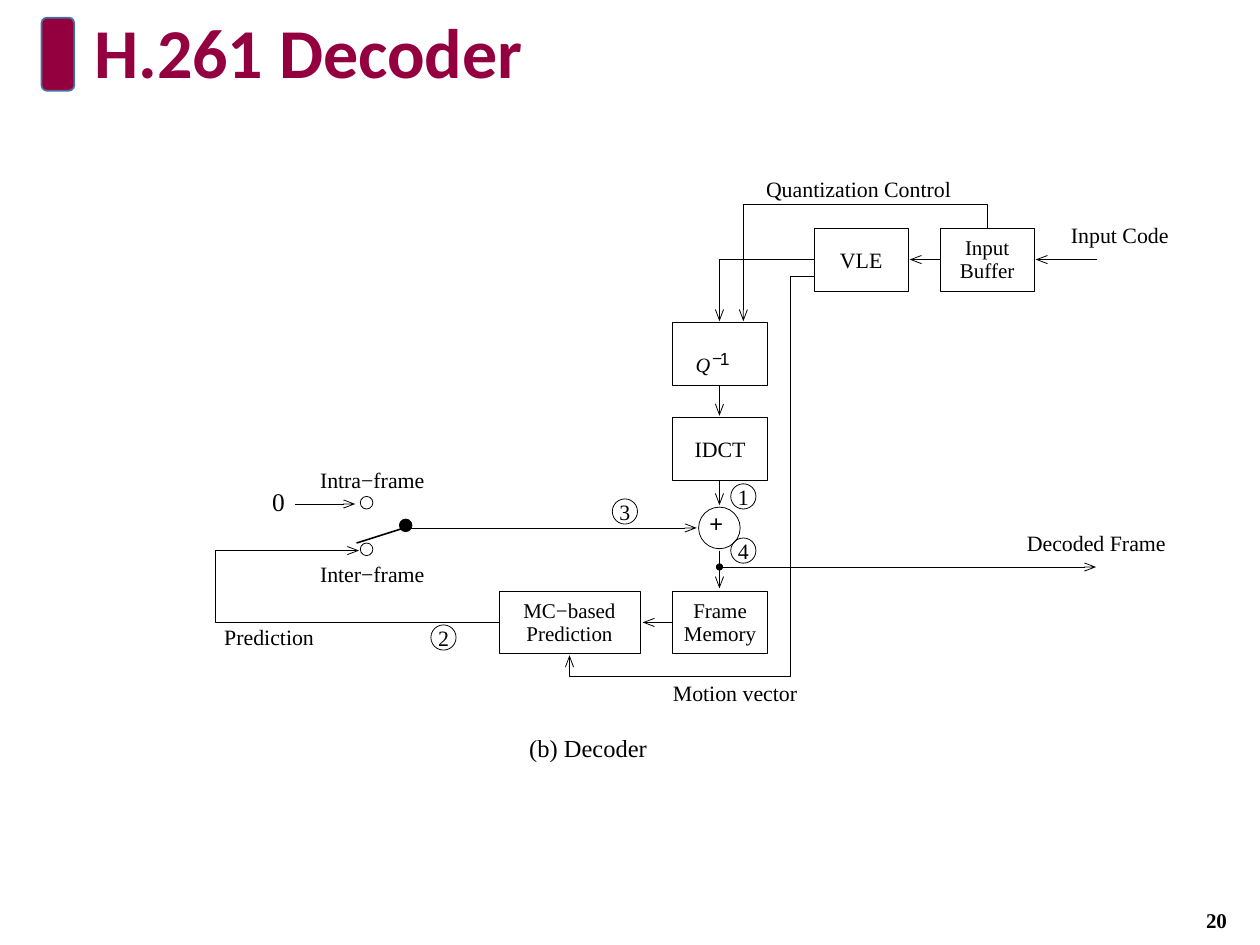
from dataclasses import dataclass
from typing import NamedTuple

from lxml.etree import SubElement as Sub
from pptx import Presentation as Deck
from pptx.dml.color import RGBColor as Rgb
from pptx.enum.shapes import MSO_CONNECTOR as Link, MSO_SHAPE as Kind
from pptx.enum.text import MSO_ANCHOR as Anchor, PP_ALIGN as Align
from pptx.oxml.ns import qn
from pptx.util import Inches, Pt


@dataclass(frozen=True)
class Theme:
    ink: Rgb = Rgb(0, 0, 0)
    wine: Rgb = Rgb(0x94, 0x00, 0x3F)
    edge: Rgb = Rgb(0x43, 0x73, 0x9E)
    serif: str = "Times New Roman"
    sans: str = "Arial"
    head: str = "Calibri"
    math: str = "Noto Sans CJK JP"
    title: float = 40
    label: float = 12.5
    block: float = 12
    note: float = 14
    zero: float = 14.5
    plus: float = 13.5
    quant: float = 20
    power: float = 10
    thin: float = 0.45
    thick: float = 0.9


class Block(NamedTuple):
    x: float
    y: float
    text: str = ""
    wide: float = 0.75
    size: float = Theme.label
    lead: float | None = None


class Label(NamedTuple):
    x: float
    y: float
    wide: float
    text: str
    size: float = Theme.label
    font: str = Theme.serif


class Ring(NamedTuple):
    x: float
    y: float
    size: float
    text: str = ""
    full: bool = False


class Wire(NamedTuple):
    points: list[tuple[float, float]]
    width: float = Theme.thin
    arrow: bool = True


look = Theme()
TALL = 0.5
MID = 5.71
TWO = {"size": look.block, "lead": 13.5}

BLOCKS = [
    Block(6.46, 1.81, "VLE"),
    Block(7.46, 1.81, "Input Buffer", **TWO),
    Block(5.34, 2.56),
    Block(5.34, 3.31, "IDCT"),
    Block(5.34, 4.69, "Frame Memory", **TWO),
    Block(3.96, 4.69, "MC−based Prediction", 1.12, **TWO),
]
LABELS = [
    Label(6.08, 1.39, 1.5, "Quantization Control"),
    Label(8.5, 1.76, 0.8, "Input Code"),
    Label(8.15, 4.2, 1.13, "Decoded Frame"),
    Label(2.54, 3.7, 0.86, "Intra−frame"),
    Label(2.54, 4.45, 0.86, "Inter−frame"),
    Label(1.78, 4.95, 0.74, "Prediction"),
    Label(5.34, 5.39, 1.01, "Motion vector"),
    Label(4.2, 5.82, 1.1, "(b) Decoder", look.note),
    Label(2.16, 3.86, 0.12, "0", look.zero),
    Label(5.63, 4.04, 0.2, "+", look.plus, look.sans),
]
RINGS = [
    Ring(5.9, 3.94, 0.2, "1"),
    Ring(3.52, 5.06, 0.2, "2"),
    Ring(4.96, 4.06, 0.2, "3"),
    Ring(5.9, 4.37, 0.2, "4"),
    Ring(MID, 4.19, 0.33),
    Ring(2.91, 3.99, 0.1),
    Ring(2.91, 4.36, 0.1),
    Ring(3.22, 4.17, 0.1, full=True),
    Ring(MID, 4.5, 0.05, full=True),
]
WIRES = [
    Wire([(8.71, 2.06), (8.22, 2.06)]),
    Wire([(7.46, 2.06), (7.22, 2.06)]),
    Wire([(7.84, 1.81), (7.84, 1.62), (5.9, 1.62), (5.9, 2.55)]),
    Wire([(6.46, 2.06), (MID, 2.06), (MID, 2.55)]),
    Wire([(6.46, 2.19), (6.27, 2.19), (6.27, 5.37), (4.52, 5.37), (4.52, 5.2)]),
    Wire([(MID, 3.06), (MID, 3.3)]),
    Wire([(MID, 3.81), (MID, 4.01)]),
    Wire([(MID, 4.37), (MID, 4.67)]),
    Wire([(MID, 4.5), (8.7, 4.5)]),
    Wire([(5.34, 4.94), (5.1, 4.94)]),
    Wire([(3.96, 4.94), (1.71, 4.94), (1.71, 4.37), (2.85, 4.37)]),
    Wire([(2.34, 4), (2.82, 4)]),
    Wire([(3.25, 4.19), (5.53, 4.19)]),
    Wire([(3.24, 4.18), (2.83, 4.31)], look.thick, False),
]


def write(shape, text: str, *, size: float = look.label, font: str = look.serif,
          color: Rgb = look.ink, bold: bool = False, slant: bool = False,
          align=Align.LEFT, anchor=Anchor.TOP, lead=None, pad: float = 0,
          wrap: bool = False, base: int = 0) -> None:
    frame = shape.text_frame
    frame.word_wrap = wrap
    frame.vertical_anchor = anchor
    frame.margin_left = frame.margin_right = Inches(pad)
    frame.margin_top = frame.margin_bottom = Inches(pad / 2)
    para = frame.paragraphs[0]
    para.alignment = align
    if lead:
        para.line_spacing = lead
    run = para.add_run()
    run.text = text
    face = run.font
    face.name, face.size, face.bold, face.italic = font, Pt(size), bold, slant
    face.color.rgb = color
    if base:
        run._r.get_or_add_rPr().set("baseline", str(base))


def box(slide, x: float, y: float, wide: float, tall: float):
    return slide.shapes.add_textbox(*map(Inches, (x, y, wide, tall)))


def form(slide, kind, x: float, y: float, wide: float, tall: float,
         fill: Rgb | None = None, edge: Rgb = look.ink, width: float = look.thin):
    shape = slide.shapes.add_shape(kind, *map(Inches, (x, y, wide, tall)))
    shape.shadow.inherit = False
    if fill is None:
        shape.fill.background()
    else:
        shape.fill.solid()
        shape.fill.fore_color.rgb = fill
    shape.line.color.rgb = edge
    shape.line.width = Pt(width)
    return shape


def draw_block(slide, item: Block) -> None:
    shape = form(slide, Kind.RECTANGLE, item.x, item.y, item.wide, TALL)
    if item.text:
        write(shape, item.text, size=item.size, lead=item.lead and Pt(item.lead),
              align=Align.CENTER, anchor=Anchor.MIDDLE, wrap=True)


def draw_ring(slide, item: Ring) -> None:
    half = item.size / 2
    shape = form(slide, Kind.OVAL, item.x - half, item.y - half, item.size, item.size,
                 look.ink if item.full else None)
    if item.text:
        write(shape, item.text, align=Align.CENTER, anchor=Anchor.MIDDLE)


def draw_wire(slide, item: Wire) -> None:
    spots = [(Inches(x), Inches(y)) for x, y in item.points]
    if len(spots) == 2:
        shape = slide.shapes.add_connector(Link.STRAIGHT, *spots[0], *spots[1])
        Sub(shape._element.spPr, qn("a:effectLst"))
    else:
        pen = slide.shapes.build_freeform(*spots[0])
        pen.add_line_segments(spots[1:], close=False)
        shape = pen.convert_to_shape()
        shape.shadow.inherit = False
        shape.fill.background()
    shape.line.color.rgb = look.ink
    shape.line.width = Pt(item.width)
    if item.arrow:
        Sub(shape.line._get_or_add_ln(), qn("a:tailEnd"), type="arrow", w="sm", len="med")


def main() -> None:
    deck = Deck()
    deck.slide_width, deck.slide_height = Inches(10), Inches(7.5)
    slide = deck.slides.add_slide(deck.slide_layouts[6])
    form(slide, Kind.ROUNDED_RECTANGLE, 0.33, 0.14, 0.26, 0.58, look.wine, look.edge, 1)
    write(box(slide, 0.65, 0.09, 8.42, 1.25), "H.261 Decoder", size=look.title,
          font=look.head, color=look.wine, bold=True, lead=0.9, pad=0.1, wrap=True)
    write(box(slide, 9.23, 7.1, 0.85, 0.4), "20", size=look.block, bold=True,
          align=Align.CENTER, anchor=Anchor.MIDDLE, pad=0.1, wrap=True)
    for wire in WIRES:
        draw_wire(slide, wire)
    for block in BLOCKS:
        draw_block(slide, block)
    for ring in RINGS:
        draw_ring(slide, ring)
    for item in LABELS:
        write(box(slide, item.x, item.y, item.wide, 0.22), item.text,
              size=item.size, font=item.font)
    quant = box(slide, 5.52, 2.62, 0.38, 0.32)
    write(quant, "Q", size=look.quant, slant=True, base=-21000)
    write(quant, "−", size=look.power, font=look.math, slant=True)
    write(quant, "1", size=look.power, font=look.sans)
    deck.save("out.pptx")


if __name__ == "__main__":
    main()
